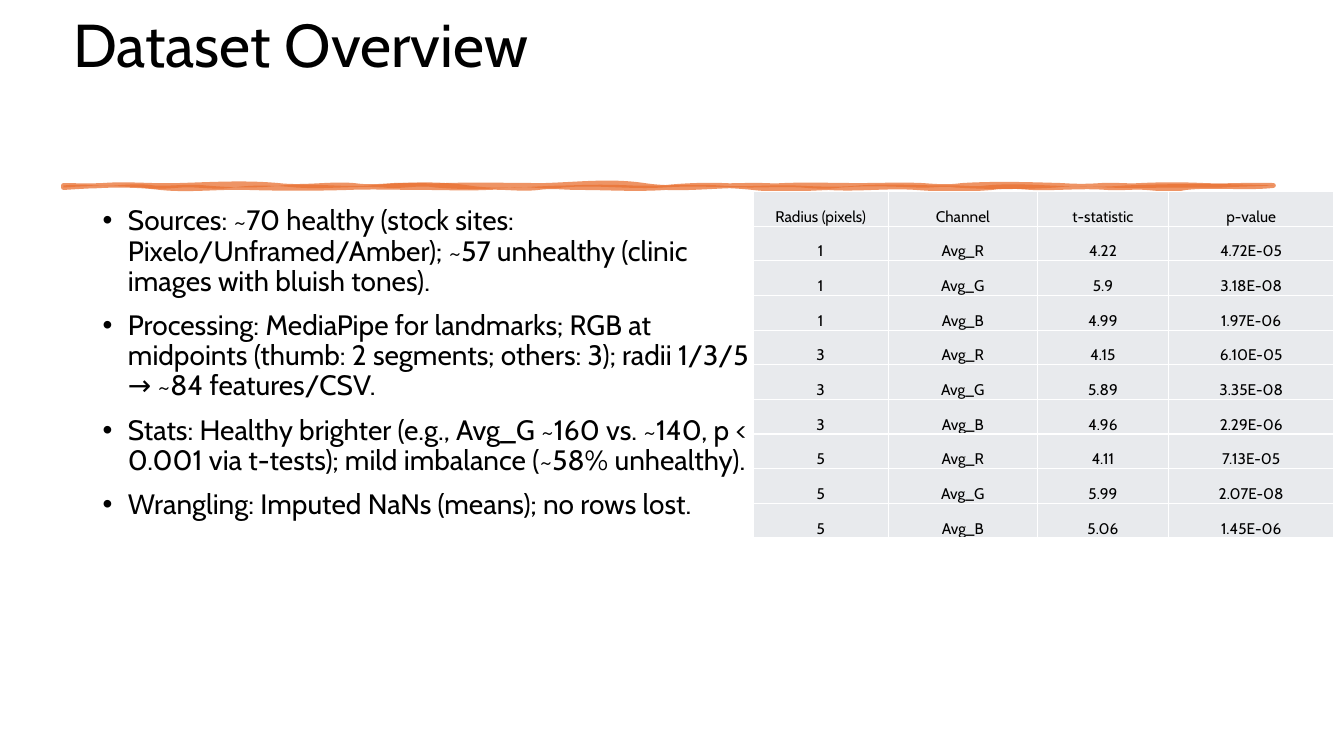
from lxml.etree import SubElement
from pptx import Presentation
from pptx.dml.color import RGBColor
from pptx.enum.text import MSO_ANCHOR, PP_ALIGN
from pptx.oxml.ns import qn
from pptx.util import Inches, Pt

FONT = "Cabin"
BLACK, WHITE, ORANGE, GREY = "000000", "FFFFFF", "E97132", "E8EAED"

BULLETS = [
    "Sources: ~70 healthy (stock sites: Pixelo/Unframed/Amber); ~57 unhealthy "
    "(clinic images with bluish tones).",
    "Processing: MediaPipe for landmarks; RGB at midpoints (thumb: 2 segments; "
    "others: 3); radii 1/3/5 → ~84 features/CSV.",
    "Stats: Healthy brighter (e.g., Avg_G ~160 vs. ~140, p < 0.001 via t-tests); "
    "mild imbalance (~58% unhealthy).",
    "Wrangling: Imputed NaNs (means); no rows lost.",
]

COLUMN_WIDTHS = [1.34, 1.48, 1.3, 1.64]
TABLE_HEIGHT = 3.44
ROWS = [
    ("Radius (pixels)", "Channel", "t-statistic", "p-value"),
    ("1", "Avg_R", "4.22", "4.72E-05"),
    ("1", "Avg_G", "5.9", "3.18E-08"),
    ("1", "Avg_B", "4.99", "1.97E-06"),
    ("3", "Avg_R", "4.15", "6.10E-05"),
    ("3", "Avg_G", "5.89", "3.35E-08"),
    ("3", "Avg_B", "4.96", "2.29E-06"),
    ("5", "Avg_R", "4.11", "7.13E-05"),
    ("5", "Avg_G", "5.99", "2.07E-08"),
    ("5", "Avg_B", "5.06", "1.45E-06"),
]

# Brush edges: end x of each wave, then its two bends in hundredths of an inch.
BRUSH_LEFT, BRUSH_RIGHT, BRUSH_TOP, BRUSH_BOTTOM = 0.63, 12.63, 1.84, 1.86
OUTLINE_TOP = [
    (1.02, 0, 1), (1.77, -2, 1), (2.76, -1, -3), (3.51, 3, -2), (3.9, 2, 1),
    (4.41, -1, 1), (5.4, -1, 0), (6.39, -1, -5), (7.38, 5, 0), (7.77, -1, 1),
    (8.52, -1, 0), (9.15, 0, -1), (9.54, 1, 2), (10.53, -2, -1), (10.92, 1, 1),
    (11.31, -1, 1), (11.94, -1, -1), (BRUSH_RIGHT, 1, -1),
]
OUTLINE_BOTTOM = [
    (11.76, 1, -3), (11.37, 3, 1), (10.98, -1, 1), (10.23, -2, 1), (9.84, -1, -2),
    (9.09, 2, 2), (8.22, -2, 2), (7.47, 1, 3), (6.6, -3, -3), (5.73, 2, 0),
    (5.34, 0, -2), (4.83, 2, -1), (4.2, 1, 0), (3.45, 0, -1), (2.46, 1, 1),
    (1.59, -1, 3), (BRUSH_LEFT, -4, -2),
]
CORE_TOP = [
    (1.14, -2, 1), (1.53, -1, -2), (2.04, 1, -2), (2.79, 2, 3), (3.66, -3, 2),
    (4.65, -3, -5), (5.64, 5, 0), (6.27, -1, -1), (7.14, 1, -2), (7.89, 2, -1),
    (8.52, 1, 2), (9.39, -2, 0), (9.78, -1, 2), (10.41, -2, -1), (11.16, 1, 2),
    (BRUSH_RIGHT, -2, -2),
]
CORE_BOTTOM = [
    (12.12, -1, -1), (11.73, 0, 0), (10.98, 0, 1), (10.47, -1, -2), (9.48, 2, 2),
    (9.09, -2, 1), (8.34, -1, -2), (7.95, 2, 1), (7.44, -1, 0), (6.57, 0, -2),
    (5.58, 2, -3), (5.07, 3, -2), (4.32, 2, 2), (3.81, -3, 2), (2.94, -2, 2),
    (2.31, -2, -3), (1.8, 3, -1), (1.41, 1, 2), (BRUSH_LEFT, -2, -2),
]


def rgb(value):
    return RGBColor.from_string(value)


def write(p, text, size=20, color=BLACK, align=None, line=None, before=None):
    r = p.add_run()
    r.text = text
    r.font.name, r.font.size = FONT, Pt(size)
    r.font.color.rgb = rgb(color)
    p.alignment, p.line_spacing = align, line
    if before is not None:
        p.space_before = Pt(before)


def add_bullet(p, indent=0.25):
    pPr = p._p.get_or_add_pPr()
    pPr.set("marL", str(Inches(indent)))
    pPr.set("indent", str(-Inches(indent)))
    SubElement(pPr, qn("a:buFont"), typeface="Arial")
    SubElement(pPr, qn("a:buChar"), char="•")


def add_text_frame(slide, left, top, width, height):
    box = slide.shapes.add_textbox(Inches(left), Inches(top), Inches(width), Inches(height))
    tf = box.text_frame
    tf.word_wrap = True
    return tf


def add_title(slide, text):
    tf = add_text_frame(slide, 0.63, 0.36, 12.05, 1.18)
    tf.vertical_anchor = MSO_ANCHOR.BOTTOM
    tf.margin_bottom = Inches(0.74)
    write(tf.paragraphs[0], text, size=43.2, line=0.9)


def add_bullets(slide, texts):
    tf = add_text_frame(slide, 0.92, 2, 6.62, 3.52)
    for i, text in enumerate(texts):
        p = tf.add_paragraph() if i else tf.paragraphs[0]
        write(p, text, line=0.9, before=10)
        add_bullet(p)


def add_point(parent, x, y):
    SubElement(parent, qn("a:pt"), x=str(Inches(x - BRUSH_LEFT)), y=str(Inches(y - BRUSH_TOP)))


def add_waves(contour, start, y, waves):
    """Add a chain of cubic curves that runs along height y."""
    for end, bend1, bend2 in waves:
        curve = SubElement(contour, qn("a:cubicBezTo"))
        third = (end - start) / 3
        add_point(curve, start + third, y + bend1 / 100)
        add_point(curve, end - third, y + bend2 / 100)
        add_point(curve, end, y)
        start = end


def add_contour(contours, top_waves, bottom_waves, **paint):
    contour = SubElement(
        contours, qn("a:path"), w=str(Inches(BRUSH_RIGHT - BRUSH_LEFT)),
        h=str(Inches(BRUSH_BOTTOM - BRUSH_TOP)), **paint)
    add_point(SubElement(contour, qn("a:moveTo")), BRUSH_LEFT, BRUSH_TOP)
    add_waves(contour, BRUSH_LEFT, BRUSH_TOP, top_waves)
    add_waves(contour, BRUSH_RIGHT, BRUSH_BOTTOM, bottom_waves)
    SubElement(contour, qn("a:close"))


def set_translucent(fill, color, percent=75):
    fill.solid()
    fill.fore_color.rgb = rgb(color)
    clr = fill._xPr.find(qn("a:solidFill")).find(qn("a:srgbClr"))
    SubElement(clr, qn("a:alpha"), val=str(percent * 1000))


def add_brush_rule(slide):
    """Add a freeform band, then bend its edges into a stroked and a filled contour."""
    left, right, top, bottom = map(Inches, (BRUSH_LEFT, BRUSH_RIGHT, BRUSH_TOP, BRUSH_BOTTOM))
    builder = slide.shapes.build_freeform(left, top)
    builder.add_line_segments([(right, top), (right, bottom), (left, bottom)])
    sp = builder.convert_to_shape()
    sp.shadow.inherit = False
    contours = next(sp._element.iter(qn("a:pathLst")))
    contours.remove(contours[0])
    add_contour(contours, OUTLINE_TOP, OUTLINE_BOTTOM, fill="none")
    add_contour(contours, CORE_TOP, CORE_BOTTOM, stroke="0")
    set_translucent(sp.fill, ORANGE)
    sp.line.width = Pt(3.5)
    set_translucent(sp.line.fill, ORANGE)
    SubElement(sp.line._ln, qn("a:round"))


def set_borders(cell, color=WHITE, width=1):
    tcPr = cell._tc.get_or_add_tcPr()
    for side in ("lnL", "lnR", "lnT", "lnB"):
        ln = SubElement(tcPr, qn(f"a:{side}"), w=str(Pt(width)))
        SubElement(SubElement(ln, qn("a:solidFill")), qn("a:srgbClr"), val=color)


def add_stats_table(slide, rows):
    frame = slide.shapes.add_table(
        len(rows), len(COLUMN_WIDTHS), Inches(7.47), Inches(1.9),
        Inches(sum(COLUMN_WIDTHS)), Inches(TABLE_HEIGHT))
    table = frame.table
    for column, width in zip(table.columns, COLUMN_WIDTHS):
        column.width = Inches(width)
    for i, row in enumerate(rows):
        for j, text in enumerate(row):
            cell = table.cell(i, j)
            set_borders(cell)
            cell.fill.solid()
            cell.fill.fore_color.rgb = rgb(GREY)
            cell.vertical_anchor = MSO_ANCHOR.BOTTOM
            cell.margin_left = cell.margin_right = cell.margin_top = Inches(0.01)
            cell.margin_bottom = 0
            write(cell.text_frame.paragraphs[0], text, size=11, align=PP_ALIGN.CENTER)


def main():
    prs = Presentation()
    prs.slide_width, prs.slide_height = Inches(13.33), Inches(7.5)
    slide = prs.slides.add_slide(prs.slide_layouts[6])
    add_title(slide, "Dataset Overview")
    add_brush_rule(slide)
    add_bullets(slide, BULLETS)
    add_stats_table(slide, ROWS)
    prs.save("out.pptx")


if __name__ == "__main__":
    main()
